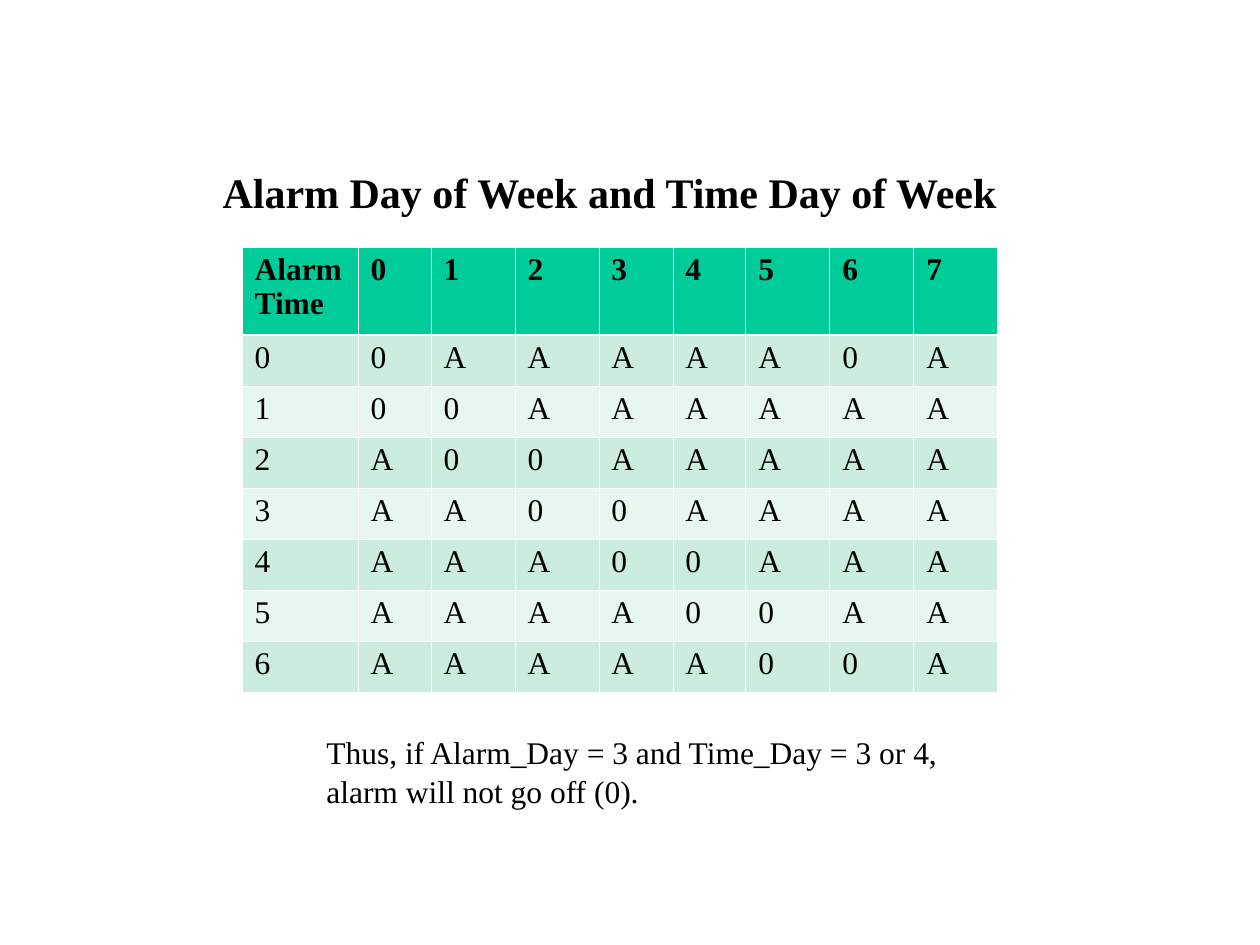
from lxml import etree
from pptx import Presentation
from pptx import util as u
from pptx.dml.color import RGBColor
from pptx.enum import text
from pptx.oxml import ns

SCALE = 914400 / 126
FONT = "Times New Roman"
COLORS = {"ink": "000000", "line": "FFFFFF", "head": "00CC99", "odd": "CBECDE", "even": "E7F6EF"}
COLUMNS = [116, 73, 84, 84, 74, 73, 84, 84, 84]
ROWS = [88] + [51] * 7
THIN, THICK = 0.45, 1.47
TITLE = {"size": u.Pt(24), "bold": True, "name": FONT}
HEAD = {"size": u.Pt(18), "bold": True, "name": FONT}
BODY = {"size": u.Pt(18), "bold": False, "name": FONT}


def px(length):
    """Turn px into EMU."""
    return u.Emu(round(length * SCALE))


def color(name):
    """Look up a colour by its role."""
    return RGBColor.from_string(COLORS[name])


def set_all(target, values):
    """Set each attribute named in a dict."""
    for name, value in values.items():
        setattr(target, name, value)


def write(frame, lines, font, spacing):
    """Fill a text frame with one paragraph per line."""
    for index, line in enumerate(lines):
        para = frame.add_paragraph() if index else frame.paragraphs[0]
        set_all(para, {"alignment": text.PP_ALIGN.LEFT, "line_spacing": spacing})
        span = para.add_run()
        span.text = line
        set_all(span.font, font)
        span.font.color.rgb = color("ink")


def place_text(box, bounds, lines, font):
    """Position an unwrapped text shape and write its lines."""
    set_all(box, dict(zip(("left", "top", "width", "height"), map(px, bounds))))
    set_all(box.text_frame, {
        "word_wrap": False,
        "auto_size": text.MSO_AUTO_SIZE.SHAPE_TO_FIT_TEXT,
        "vertical_anchor": text.MSO_ANCHOR.TOP,
    })
    write(box.text_frame, lines, font, 1.04)


def add_borders(cell, widths):
    """Draw the left, right, top and bottom borders of a cell."""
    properties = cell._tc.get_or_add_tcPr()
    for index, (side, width) in enumerate(zip("LRTB", widths)):
        line = etree.Element(ns.qn(f"a:ln{side}"), w=str(u.Pt(width)))
        fill = etree.SubElement(line, ns.qn("a:solidFill"))
        etree.SubElement(fill, ns.qn("a:srgbClr"), val=COLORS["line"])
        properties.insert(index, line)


def alarm_state(time, alarm):
    """Give 0 on the alarm day and the day after, otherwise A."""
    return "0" if alarm < 7 and (time - alarm) % 7 in (0, 1) else "A"


def add_alarm_table(page):
    """Add the table of alarm days against time days."""
    bounds = (242, 247, sum(COLUMNS), sum(ROWS))
    table = page.shapes.add_table(len(ROWS), len(COLUMNS), *map(px, bounds)).table
    for column, width in zip(table.columns, COLUMNS):
        column.width = px(width)
    for row, height in zip(table.rows, ROWS):
        row.height = px(height)
    header = [["Alarm", "Time"]] + [[str(day)] for day in range(8)]
    grid = [header] + [
        [[str(time)]] + [[alarm_state(time, alarm)] for alarm in range(8)]
        for time in range(7)
    ]
    for row, values in enumerate(grid):
        shade = "odd" if row % 2 else "even"
        for column, lines in enumerate(values):
            cell = table.cell(row, column)
            write(cell.text_frame, lines, BODY if row else HEAD, 0.97)
            cell.fill.solid()
            cell.fill.fore_color.rgb = color(shade if row else "head")
            add_borders(cell, (THIN, THIN, THICK if row == 1 else THIN, THIN if row else THICK))


def main():
    """Build and save the slide."""
    deck = Presentation()
    set_all(deck, {"slide_width": px(1260), "slide_height": px(945)})
    page = deck.slides.add_slide(deck.slide_layouts[5])
    place_text(page.shapes.title, (210, 158, 806, 63),
               ["Alarm Day of Week and Time Day of Week"], TITLE)
    add_alarm_table(page)
    note = page.shapes.add_textbox(0, 0, 0, 0)
    place_text(note, (314, 725, 640, 88),
               ["Thus, if Alarm_Day = 3 and Time_Day = 3 or 4,", "alarm will not go off (0)."], BODY)
    deck.save("out.pptx")


if __name__ == "__main__":
    main()
